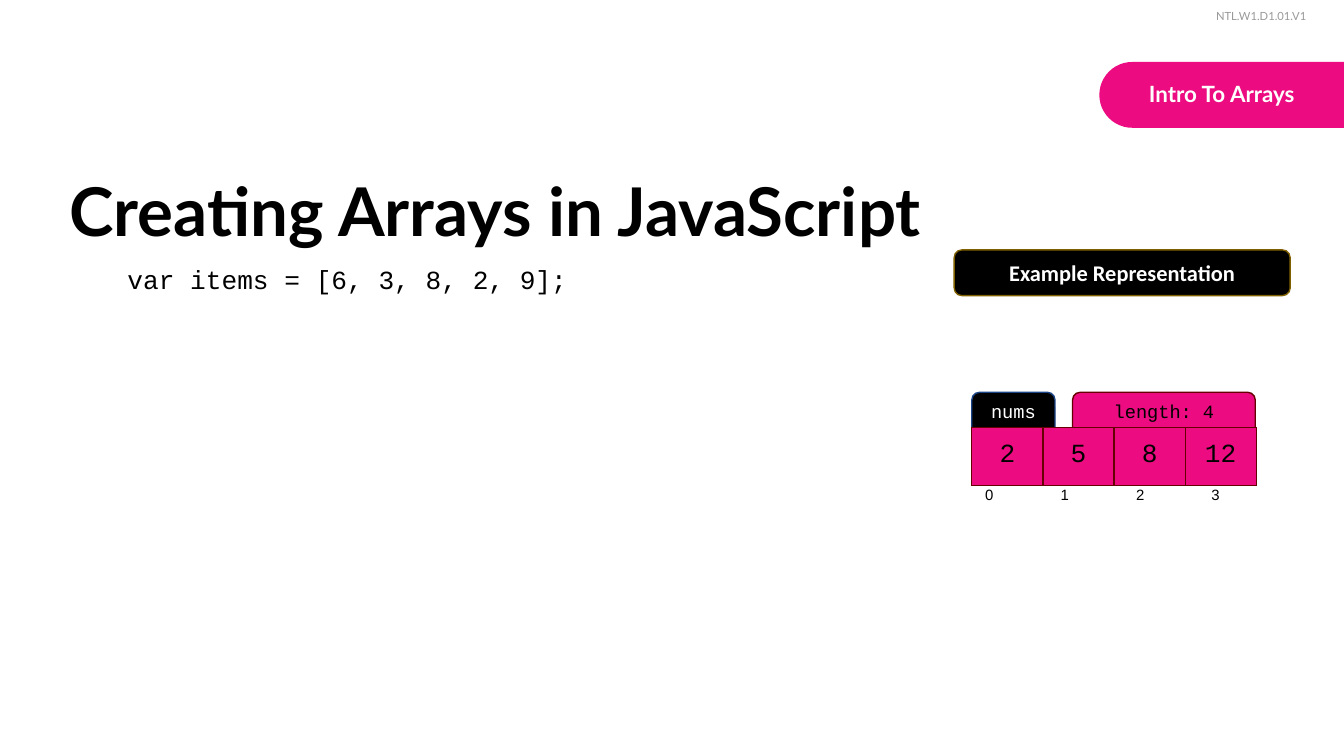
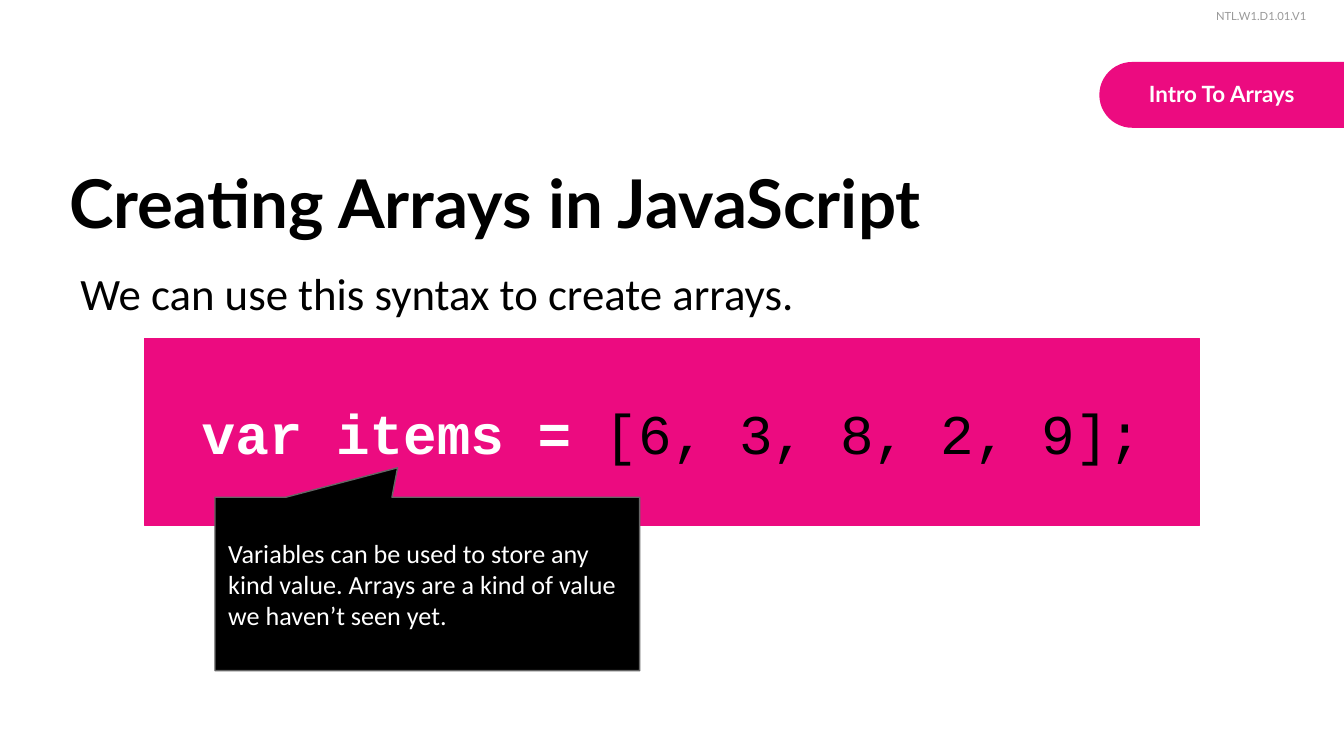
from dataclasses import dataclass, replace

from lxml.etree import SubElement
from pptx import Presentation
from pptx.dml.color import RGBColor
from pptx.enum.shapes import MSO_SHAPE
from pptx.enum.text import MSO_ANCHOR, PP_ALIGN
from pptx.oxml.ns import qn
from pptx.util import Pt

NO_STYLE_NO_GRID = "{2D5ABB26-0587-4C30-8999-92F81FD0307C}"


@dataclass(frozen=True)
class TextStyle:
    font: str
    size: float
    colour: str
    bold: bool = False
    align: PP_ALIGN = PP_ALIGN.LEFT
    line_spacing: float | None = None


class Theme:
    pink = "EC0B80"
    black = "000000"
    white = "FFFFFF"
    grey = "666666"
    gold = "7F6000"
    navy = "1C4587"
    maroon = "660000"
    inset = 7.2
    line_width = 0.75

    title = TextStyle("Lato", 36, black, bold=True)
    section = TextStyle("Lato", 12, white, bold=True, align=PP_ALIGN.CENTER)
    code_number = TextStyle("Lato", 6, "999999", line_spacing=1.15)
    body = TextStyle("Calibri", 24, black)
    callout = TextStyle("Calibri", 14, white)
    heading = TextStyle("Calibri", 12, white, bold=True, align=PP_ALIGN.CENTER)
    code = TextStyle("Courier New", 14, black)
    cell = replace(code, align=PP_ALIGN.CENTER)
    tab = replace(cell, size=10)
    big_code = replace(cell, size=30)
    index = TextStyle("Arial", 8, black)


class Deck:
    def __init__(self, theme):
        self.theme = theme
        self.presentation = Presentation()
        self.presentation.slide_width = Pt(720)
        self.presentation.slide_height = Pt(405)
        self.slide = None

    def add_slide(self, title_top):
        """Start a slide with the section pill, the code number and the title."""
        theme = self.theme
        self.slide = self.presentation.slides.add_slide(self.presentation.slide_layouts[6])
        pill = self.shape(MSO_SHAPE.ROUND_2_SAME_RECTANGLE, (637.2, -15.1, 35.3, 131.8),
                          theme.pink, adjustments=(0.5, 0))
        pill.rotation = 270
        self.text((592.6, 36, 123.8, 28.8), "Intro To Arrays", theme.section)
        self.text((644.4, 0, 69.8, 21.6), "NTL.W1.D1.01.V1", theme.code_number)
        self.text((30.2, title_top, 606.2, 147.6), "Creating Arrays in JavaScript", theme.title)

    def fill_text(self, frame, text, style):
        """Fill a text frame or a table cell with one paragraph."""
        frame.margin_left = frame.margin_right = Pt(self.theme.inset)
        frame.margin_top = frame.margin_bottom = Pt(self.theme.inset)
        paragraph = frame.paragraphs[0] if hasattr(frame, "paragraphs") \
            else frame.text_frame.paragraphs[0]
        paragraph.alignment = style.align
        if style.line_spacing:
            paragraph.line_spacing = style.line_spacing
        paragraph.font.name = style.font
        paragraph.font.size = Pt(style.size)
        if isinstance(text, str):
            paragraph.add_run().text = text
            self.colour_font(paragraph.font, style.colour, style.bold)
            return
        for words, colour, bold in text:
            run = paragraph.add_run()
            run.text = words
            self.colour_font(run.font, colour, bold)

    @staticmethod
    def colour_font(font, colour, bold):
        font.color.rgb = RGBColor.from_string(colour)
        font.bold = bold

    def text(self, box, text, style):
        shape = self.slide.shapes.add_textbox(*map(Pt, box))
        shape.text_frame.word_wrap = True
        self.fill_text(shape.text_frame, text, style)

    def shape(self, kind, box, fill, line=None, text=None, style=None,
              anchor=MSO_ANCHOR.MIDDLE, adjustments=()):
        shape = self.slide.shapes.add_shape(kind, *map(Pt, box))
        shape.shadow.inherit = False
        for number, value in enumerate(adjustments):
            shape.adjustments[number] = value
        shape.fill.solid()
        shape.fill.fore_color.rgb = RGBColor.from_string(fill)
        if line:
            shape.line.color.rgb = RGBColor.from_string(line)
            shape.line.width = Pt(self.theme.line_width)
        else:
            shape.line.fill.background()
        if text:
            shape.text_frame.word_wrap = True
            shape.text_frame.vertical_anchor = anchor
            self.fill_text(shape.text_frame, text, style)
        return shape

    def row_table(self, left, top, column_width, height, values, style, fill=None, border=None):
        """Add a table of one row with equal columns."""
        width = column_width * len(values)
        frame = self.slide.shapes.add_table(1, len(values), Pt(left), Pt(top),
                                            Pt(width), Pt(height))
        table = frame.table
        table.first_row = table.horz_banding = False
        next(table._tbl.iter(qn("a:tableStyleId"))).text = NO_STYLE_NO_GRID
        for column, value in enumerate(values):
            table.columns[column].width = Pt(column_width)
            cell = table.cell(0, column)
            self.fill_text(cell, str(value), style)
            if border:
                self.cell_borders(cell, border)
            if fill:
                cell.fill.solid()
                cell.fill.fore_color.rgb = RGBColor.from_string(fill)
            else:
                cell.fill.background()

    def cell_borders(self, cell, colour):
        properties = cell._tc.get_or_add_tcPr()
        for side in ("L", "R", "T", "B"):
            line = SubElement(properties, qn(f"a:ln{side}"), w=str(Pt(self.theme.line_width)))
            SubElement(SubElement(line, qn("a:solidFill")), qn("a:srgbClr"), val=colour)


def add_example_slide(deck):
    theme = deck.theme
    deck.add_slide(title_top=83.5)
    deck.text((61.2, 133.9, 298.8, 186.5), "var items = [6, 3, 8, 2, 9];", theme.code)
    deck.shape(MSO_SHAPE.ROUNDED_RECTANGLE, (511.2, 133.9, 180, 24.5), theme.black,
               theme.gold, "Example Representation", theme.heading)

    values = (2, 5, 8, 12)
    array_left, tab_top, tab_height = 520.6, 210.2, 24.5
    deck.shape(MSO_SHAPE.ROUNDED_RECTANGLE, (574.6, tab_top, 97.9, tab_height), theme.pink,
               theme.maroon, f"length: {len(values)}", theme.tab, MSO_ANCHOR.BOTTOM)
    deck.shape(MSO_SHAPE.ROUNDED_RECTANGLE, (array_left, tab_top, 44.6, tab_height), theme.black,
               theme.navy, "nums", replace(theme.tab, colour=theme.white), MSO_ANCHOR.BOTTOM)
    deck.row_table(array_left, 229, 38.1, 30.2, values, theme.cell, theme.pink, theme.maroon)
    deck.row_table(array_left, 253.4, 40.4, 17.3, range(len(values)), theme.index)


def add_syntax_slide(deck):
    theme = deck.theme
    deck.add_slide(title_top=79.2)
    deck.text((36, 135.4, 648, 293), "We can use this syntax to create arrays.", theme.body)
    statement = [("var items = ", theme.white, True), ("[6, 3, 8, 2, 9];", theme.black, False)]
    deck.shape(MSO_SHAPE.RECTANGLE, (77.5, 181.4, 565.2, 100.1), theme.pink, theme.pink,
               statement, theme.big_code)
    deck.shape(MSO_SHAPE.ROUNDED_RECTANGULAR_CALLOUT, (115.2, 266.4, 227.5, 92.9), theme.black,
               theme.grey, "Variables can be used to store any kind value. "
               "Arrays are a kind of value we haven’t seen yet.",
               theme.callout, adjustments=(-0.07, -0.67, 0))


def main():
    deck = Deck(Theme())
    add_example_slide(deck)
    add_syntax_slide(deck)
    deck.presentation.save("out.pptx")


if __name__ == "__main__":
    main()
